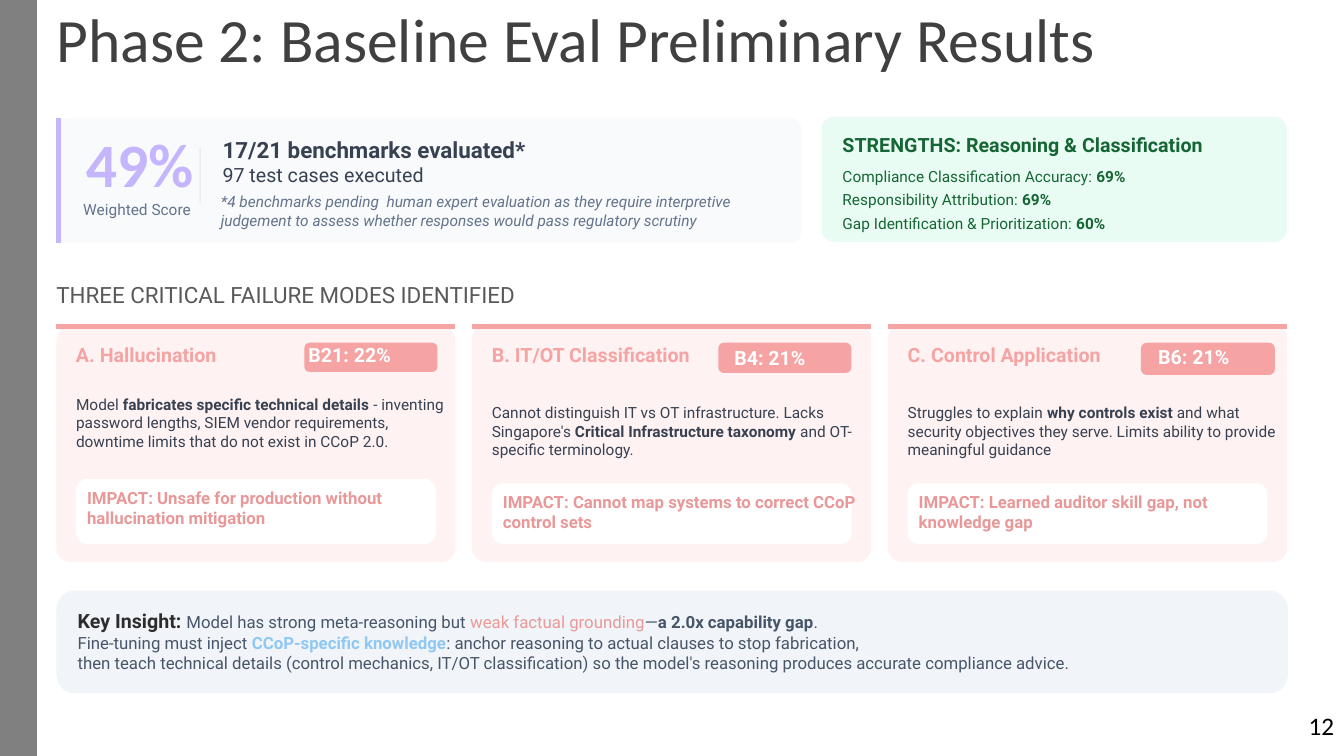
from dataclasses import dataclass
from typing import NamedTuple, Optional

from lxml.etree import SubElement as Sub
from pptx import Presentation
from pptx.dml.color import RGBColor as Rgb
from pptx.enum.shapes import MSO_CONNECTOR as Conn, MSO_SHAPE as Form
from pptx.enum.text import PP_ALIGN as Align
from pptx.oxml.ns import qn
from pptx.util import Inches, Pt

WIDE, HIGH = Inches(13.33), Inches(7.5)
COLS, ROWS = 160, 90
LEFT = 6.72
PITCH = 49.5
ROSE, PINK, WHITE = "F5A3A3", "FEF2F2", "FFFFFF"
LILAC, GREEN, SLATE = "C4B5FD", "166534", "64748B"
DARK, STEEL = "374151", "475569"


class Box(NamedTuple):
    left: float
    top: float
    width: float
    height: float


class Run(NamedTuple):
    text: str
    bold: Optional[bool] = None
    color: Optional[str] = None
    size: Optional[float] = None


@dataclass
class Style:
    size: float
    color: str
    bold: bool = False
    slant: bool = False
    face: str = "Roboto"
    lead: Optional[float] = None
    align: Align = Align.LEFT


@dataclass
class Para:
    runs: list[Run]
    style: Style


@dataclass
class Card:
    title: str
    score: str
    body: list[Run]
    impact: str
    top: float
    badge: Box
    label: Box
    text: float
    panel: Box


def col(count: float) -> int:
    return round(WIDE * count / COLS)


def row(count: float) -> int:
    return round(HIGH * count / ROWS)


def place(box: Box) -> tuple[int, int, int, int]:
    return col(box.left), row(box.top), col(box.width), row(box.height)


def tint(value: str) -> Rgb:
    return Rgb.from_string(value)


def block(slide, box: Box, color: str, curve: float = 0) -> None:
    form = Form.ROUNDED_RECTANGLE if curve else Form.RECTANGLE
    shape = slide.shapes.add_shape(form, *place(box))
    if curve:
        shape.adjustments[0] = curve
    shape.shadow.inherit = False
    shape.fill.solid()
    shape.fill.fore_color.rgb = tint(color)
    shape.line.fill.background()


def rule(slide, box: Box, color: str) -> None:
    left, top, width, height = place(box)
    line = slide.shapes.add_connector(
        Conn.STRAIGHT, left, top, left + width, top + height)
    line.line.color.rgb = tint(color)
    line.line.width = Pt(3)
    Sub(line._element.spPr, qn("a:effectLst"))


def write(slide, box: Box, *paras: Para) -> None:
    frame = slide.shapes.add_textbox(*place(box)).text_frame
    frame.word_wrap = True
    frame.margin_left = frame.margin_right = 0
    frame.margin_top = frame.margin_bottom = 0
    for index, para in enumerate(paras):
        line = frame.add_paragraph() if index else frame.paragraphs[0]
        style = para.style
        line.alignment = style.align
        if style.lead:
            line.line_spacing = Pt(style.lead)
        font = line.font
        font.name, font.size = style.face, Pt(style.size)
        font.bold, font.italic = style.bold, style.slant
        font.color.rgb = tint(style.color)
        for part in para.runs:
            run = line.add_run()
            run.text = part.text
            if part.bold is not None:
                run.font.bold = part.bold
            if part.color:
                run.font.color.rgb = tint(part.color)
            if part.size:
                run.font.size = Pt(part.size)


def plain(slide, box: Box, text: str, style: Style) -> None:
    write(slide, box, Para([Run(text)], style))


def summary(slide) -> None:
    block(slide, Box(LEFT, 14.04, 88.7, 14.9), "F8FAFC", 0.09)
    rule(slide, Box(6.96, 14.04, 0, 14.9), LILAC)
    plain(slide, Box(7.68, 16.3, 17.9, 8.6), "49%",
          Style(44, LILAC, True, face="Calibri", lead=44.8, align=Align.CENTER))
    plain(slide, Box(9.84, 23.9, 12.96, 2.2), "Weighted Score",
          Style(11, SLATE, lead=12.6, align=Align.CENTER))
    block(slide, Box(23.76, 17.5, 0.12, 6.7), "E2E8F0")
    write(slide, Box(26.5, 16.2, 65.8, 5.2),
          Para([Run("17/21 benchmarks evaluated*")], Style(16, DARK, True)),
          Para([Run("97 test cases executed")], Style(14, DARK)))
    plain(slide, Box(26.3, 22.9, 67.2, 4.7),
          "*4 benchmarks pending  human expert evaluation as they require interpretive "
          "judgement to assess whether responses would pass regulatory scrutiny",
          Style(11, SLATE, slant=True))


def strengths(slide) -> None:
    block(slide, Box(97.8, 13.9, 55.4, 14.9), "E9FCF4", 0.1)
    plain(slide, Box(100.3, 16.56, 49.8, 2),
          "STRENGTHS: Reasoning & Classification", Style(14, GREEN, True, lead=12.6))
    items = [("Compliance Classification Accuracy: ", "69%"),
             ("Responsibility Attribution: ", "69%"),
             ("Gap Identification & Prioritization: ", "60%")]
    for index, (name, score) in enumerate(items):
        write(slide, Box(100.3, 19.92 + 2.76 * index, 52, 3),
              Para([Run(name), Run(score, True)], Style(11, GREEN)))


def failure(slide, card: Card, left: float) -> None:
    def shift(box: Box) -> Box:
        return box._replace(left=left + box.left)

    block(slide, Box(left, card.top, 47.5, 66.9 - card.top), PINK, 0.06)
    rule(slide, Box(left, 38.88, 47.5, 0), ROSE)
    plain(slide, Box(left + 2.33, 41.35, 27, 4), card.title,
          Style(14, ROSE, True, lead=14))
    block(slide, shift(card.badge), ROSE, 0.18)
    plain(slide, shift(card.label), card.score, Style(14, WHITE, True, lead=12.6))
    write(slide, Box(left + 2.33, card.text, 44.9, 8.9), Para(card.body, Style(11, DARK)))
    block(slide, shift(card.panel), WHITE, 0.18)
    plain(slide, Box(left + 3.65, card.panel.top + 1.03, 42.8, 3.6), card.impact,
          Style(12, "E89898", True))


def insight(slide) -> None:
    block(slide, Box(LEFT, 70.3, 146.6, 12.24), "F1F5F9", 0.18)
    style = Style(12, STEEL)
    write(slide, Box(9.24, 72.48, 143.8, 10.7),
          Para([Run("Key Insight: ", True, "2D2D2D", 14),
                Run("Model has strong meta-reasoning but "),
                Run("weak factual grounding", color="E99998"), Run("—"),
                Run("a 2.0x capability gap", True), Run(".")], style),
          Para([Run("Fine-tuning must inject "),
                Run("CCoP-specific knowledge", True, "90C8F4"),
                Run(": anchor reasoning to actual clauses to stop fabrication,")], style),
          Para([Run("then teach technical details (control mechanics, IT/OT classification) "
                    "so the model's reasoning produces accurate compliance advice.")], style))


CARDS = [
    Card("A. Hallucination", "B21: 22%",
         [Run("Model "), Run("fabricates specific technical details", True),
          Run(" - inventing password lengths, SIEM vendor requirements, "
              "downtime limits that do not exist in CCoP 2.0.")],
         "IMPACT: Unsafe for production without hallucination mitigation",
         38.88, Box(29.52, 40.8, 15.84, 3.48), Box(30, 41.5, 15, 3.5), 47.04,
         Box(2.33, 57, 42.84, 7.8)),
    Card("B. IT/OT Classification", "B4: 21%",
         [Run("Cannot distinguish IT vs OT infrastructure. Lacks Singapore's "),
          Run("Critical Infrastructure taxonomy", True),
          Run(" and OT-specific terminology.")],
         "IMPACT: Cannot map systems to correct CCoP control sets",
         38.52, Box(29.3, 40.8, 15.84, 3.6), Box(31.2, 41.88, 13.6, 3.5), 48,
         Box(2.33, 57.55, 42.84, 7.2)),
    Card("C. Control Application", "B6: 21%",
         [Run("Struggles to explain "), Run("why controls exist", True),
          Run(" and what security objectives they serve. "
              "Limits ability to provide meaningful guidance")],
         "IMPACT: Learned auditor skill gap, not knowledge gap",
         38.52, Box(30.1, 40.8, 15.96, 3.84), Box(32.15, 41.76, 13.9, 2.6), 48,
         Box(2.33, 57.55, 42.84, 7.2)),
]


def main() -> None:
    deck = Presentation()
    deck.slide_width, deck.slide_height = WIDE, HIGH
    slide = deck.slides.add_slide(deck.slide_layouts[6])
    block(slide, Box(0, 0, 4.38, ROWS), "808080")
    plain(slide, Box(LEFT, 4.2, 146.6, 4.7), "Phase 2: Baseline Eval Preliminary Results",
          Style(44, "404040", face="Calibri", lead=28))
    summary(slide)
    strengths(slide)
    plain(slide, Box(LEFT, 34.08, 149.6, 2.5), "THREE CRITICAL FAILURE MODES IDENTIFIED",
          Style(16, "595959", lead=15.4))
    for index, card in enumerate(CARDS):
        failure(slide, card, LEFT + PITCH * index)
    insight(slide)
    plain(slide, Box(155.8, 84.6, 4, 3.6), "12", Style(18, "000000", face="Calibri"))
    deck.save("out.pptx")


if __name__ == "__main__":
    main()
